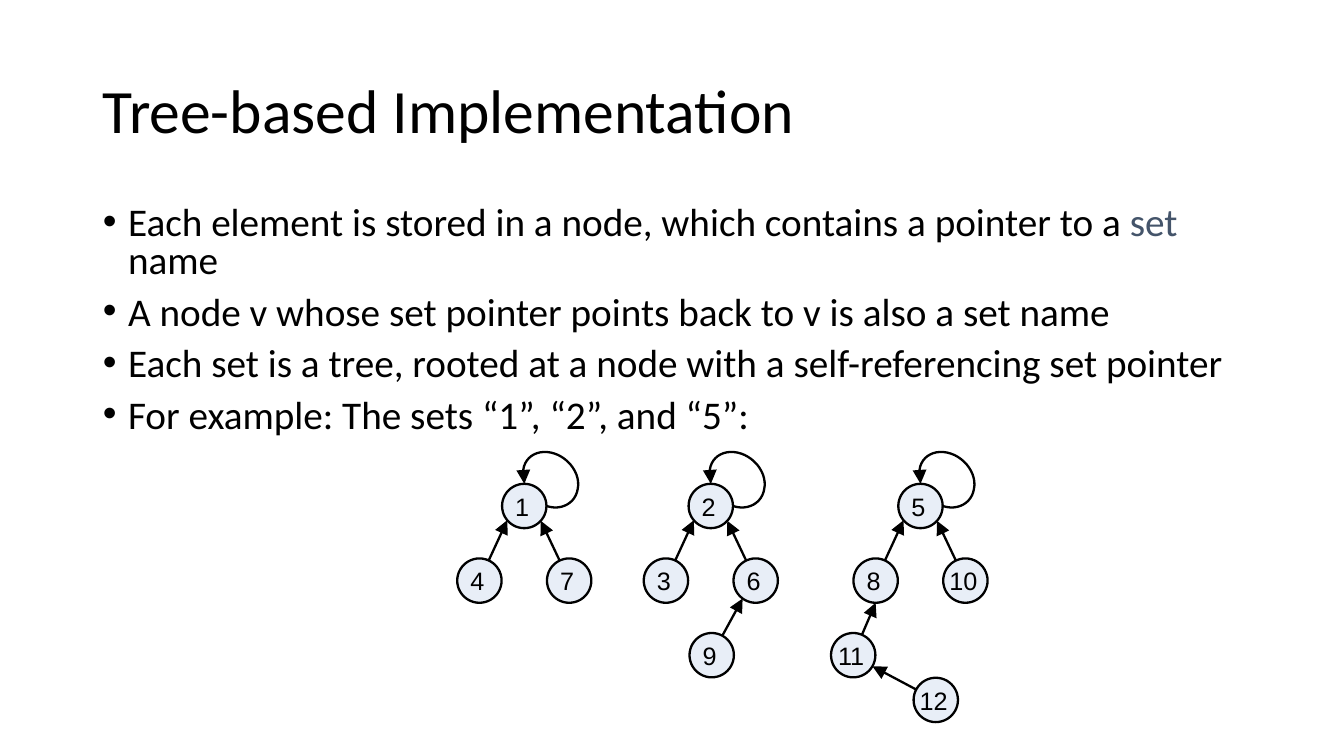
from math import cos, radians, sin

from lxml.etree import SubElement
from pptx import Presentation
from pptx.dml.color import RGBColor
from pptx.enum.shapes import MSO_CONNECTOR as Connector, MSO_SHAPE as Shape
from pptx.enum.text import MSO_ANCHOR as Anchor, MSO_AUTO_SIZE as AutoSize, PP_ALIGN as Align
from pptx.oxml.ns import qn
from pptx.util import Inches, Pt

# Content: each paragraph is a list of (text, colour name) runs
TITLE = [[("Tree-based Implementation", "ink")]]
BULLETS = [
    [("Each element is stored in a node, which contains a pointer to a ", "ink"),
     ("set", "accent"), (" name", "ink")],
    [("A node v whose set pointer points back to v is also a set name", "ink")],
    [("Each set is a tree, rooted at a node with a self-referencing set pointer", "ink")],
    [("For example: The sets “1”, “2”, and “5”:", "ink")],
]
# Root x in inches, nodes as label: (column, row) from the root,
# pointers as (child, parent, angle where the tip meets the parent)
TREES = [
    (5.2, {"1": (0, 0), "4": (-1, 1), "7": (1, 1)},
     [("4", "1", 140), ("7", "1", 42)]),
    (7.05, {"2": (0, 0), "3": (-1, 1), "6": (1, 1), "9": (0.02, 2)},
     [("3", "2", 140), ("6", "2", 42), ("9", "6", 126)]),
    (9.13, {"5": (0, 0), "8": (-1, 1), "10": (1, 1), "11": (-1.5, 2), "12": (0.34, 2.6)},
     [("8", "5", 140), ("10", "5", 42), ("11", "8", 90), ("12", "11", 30)]),
]
# Self pointer: Bézier curves in inches from the root's centre
LOOP = [
    [(0.22, 0), (0.37, 0.05), (0.51, -0.03), (0.53, -0.17)],
    [(0.53, -0.17), (0.56, -0.31), (0.45, -0.47), (0.3, -0.52)],
    [(0.3, -0.52), (0.15, -0.57), (0.01, -0.5), (-0.01, -0.36)],
]

THEME = {
    "ink": RGBColor(0, 0, 0), "accent": RGBColor(0x44, 0x54, 0x6A),
    "node": RGBColor(0xE8, 0xEE, 0xF7), "line": Pt(1.63),
    "text_font": "Calibri", "node_font": "Arial",
    "title_size": 44, "body_size": 28, "node_size": 18,
}
ROOT_Y, COLUMN, ROW, RADIUS = 5.02, 0.445, 0.74, 0.22
LEFT, WIDTH = 0.92, 11.5


def write_text(shape, paragraphs, *, size, font, align=Align.LEFT, anchor=Anchor.TOP,
               spacing=1.0, before=0, hanging=0):
    frame = shape.text_frame
    frame.auto_size, frame.vertical_anchor = AutoSize.NONE, anchor
    for index, runs in enumerate(paragraphs):
        paragraph = frame.paragraphs[0] if index == 0 else frame.add_paragraph()
        paragraph.alignment, paragraph.line_spacing = align, spacing
        paragraph.space_before = Pt(before if index else 0)
        if hanging:
            properties = paragraph._p.get_or_add_pPr()
            properties.set("marL", str(Inches(hanging)))
            properties.set("indent", str(-Inches(hanging)))
            SubElement(properties, qn("a:buFont")).set("typeface", "Arial")
            SubElement(properties, qn("a:buChar")).set("char", "•")
        for text, colour in runs:
            run = paragraph.add_run()
            run.text = text
            run.font.size, run.font.name = Pt(size), font
            run.font.color.rgb = THEME[colour]


def place(shape, left, top, width, height):
    shape.left, shape.top = Inches(left), Inches(top)
    shape.width, shape.height = Inches(width), Inches(height)


def style_line(shape, arrow=False):
    shape.line.color.rgb, shape.line.width = THEME["ink"], THEME["line"]
    if arrow:
        tail = SubElement(shape.line._get_or_add_ln(), qn("a:tailEnd"))
        for key, value in (("type", "triangle"), ("w", "lg"), ("len", "lg")):
            tail.set(key, value)


def add_pointer(shapes, child, parent, angle):
    tip = (parent[0] + RADIUS * cos(radians(angle)), parent[1] + RADIUS * sin(radians(angle)))
    pointer = shapes.add_connector(Connector.STRAIGHT, *(Inches(v) for v in child + tip))
    SubElement(pointer._element.spPr, qn("a:effectLst"))
    style_line(pointer, arrow=True)


def add_node(shapes, label, centre):
    node = shapes.add_shape(Shape.OVAL, 0, 0, 0, 0)
    place(node, centre[0] - RADIUS, centre[1] - RADIUS, 2 * RADIUS, 2 * RADIUS)
    node.shadow.inherit = False
    node.fill.solid()
    node.fill.fore_color.rgb = THEME["node"]
    style_line(node)
    frame = node.text_frame
    frame.margin_left = frame.margin_top = frame.margin_bottom = 0
    frame.margin_right = Inches(0.04)
    frame.word_wrap = False
    write_text(node, [[(label, "ink")]], size=THEME["node_size"], font=THEME["node_font"],
               align=Align.CENTER, anchor=Anchor.MIDDLE)


def curve_point(curve, t):
    weights = ((1 - t) ** 3, 3 * t * (1 - t) ** 2, 3 * t * t * (1 - t), t ** 3)
    return tuple(sum(w * p[axis] for w, p in zip(weights, curve)) for axis in (0, 1))


def add_loop(shapes, root):
    steps = 12
    points = [curve_point(curve, step / steps) for curve in LOOP for step in range(1, steps + 1)]
    points = [LOOP[0][0], *points, (0, -RADIUS)]
    points = [(Inches(root[0] + x), Inches(root[1] + y)) for x, y in points]
    builder = shapes.build_freeform(*points[0])
    builder.add_line_segments(points[1:], close=False)
    loop = builder.convert_to_shape()
    loop.shadow.inherit = False
    loop.fill.background()
    style_line(loop, arrow=True)


def main():
    presentation = Presentation()
    presentation.slide_width, presentation.slide_height = Inches(13.33), Inches(7.5)
    slide = presentation.slides.add_slide(presentation.slide_layouts[1])

    # Title and bullet list
    title, body = slide.shapes.title, slide.placeholders[1]
    place(title, LEFT, 0.4, WIDTH, 1.45)
    write_text(title, TITLE, size=THEME["title_size"], font=THEME["text_font"],
               anchor=Anchor.MIDDLE, spacing=0.9)
    place(body, LEFT, 2, WIDTH, 4.76)
    write_text(body, BULLETS, size=THEME["body_size"], font=THEME["text_font"],
               spacing=0.8, before=10, hanging=0.25)

    # Trees: pointers lie behind the nodes
    for root_x, nodes, pointers in TREES:
        centres = {label: (root_x + column * COLUMN, ROOT_Y + row * ROW)
                   for label, (column, row) in nodes.items()}
        for child, parent, angle in pointers:
            add_pointer(slide.shapes, centres[child], centres[parent], angle)
        for label, centre in centres.items():
            add_node(slide.shapes, label, centre)
        add_loop(slide.shapes, (root_x, ROOT_Y))

    presentation.save("out.pptx")


if __name__ == "__main__":
    main()
